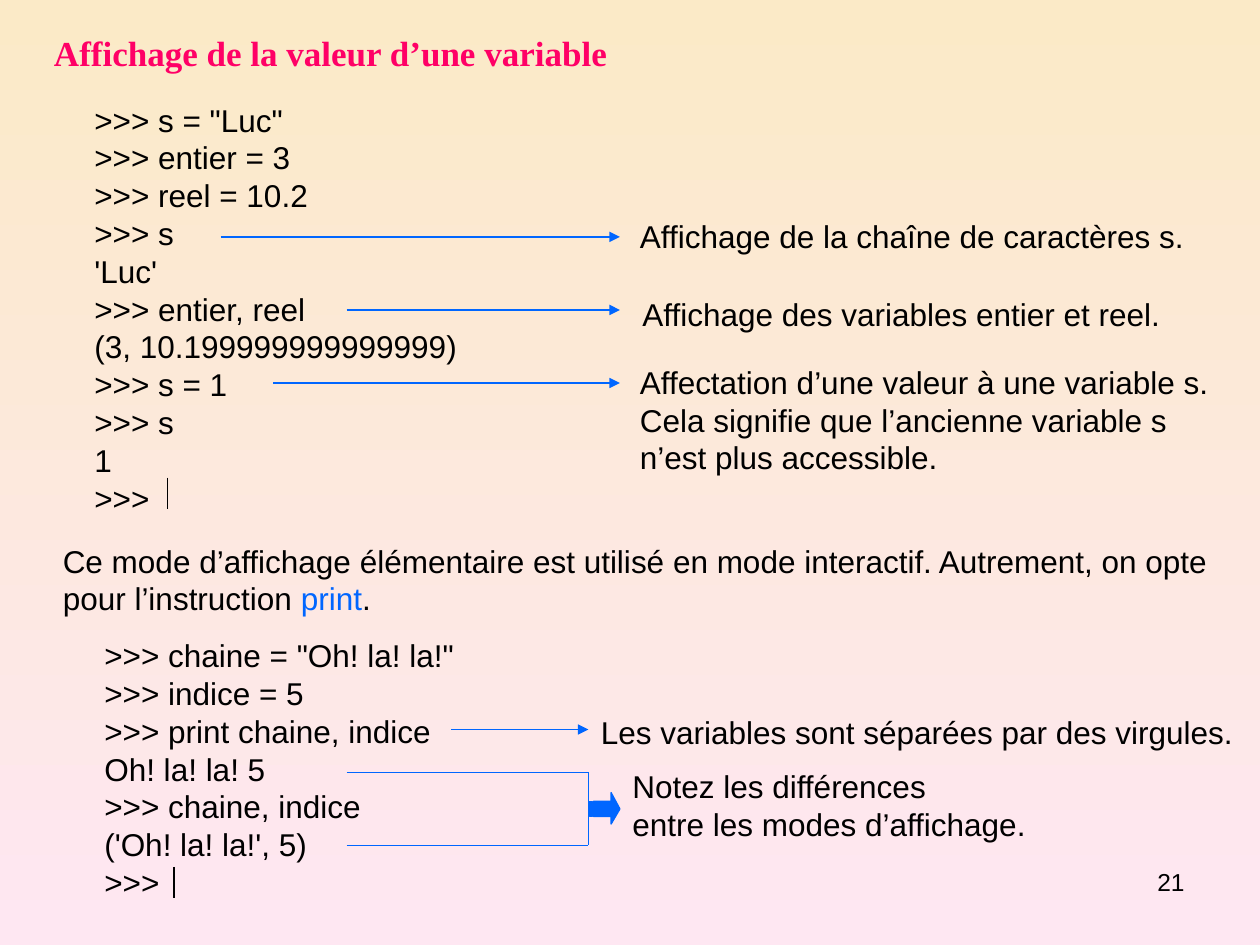
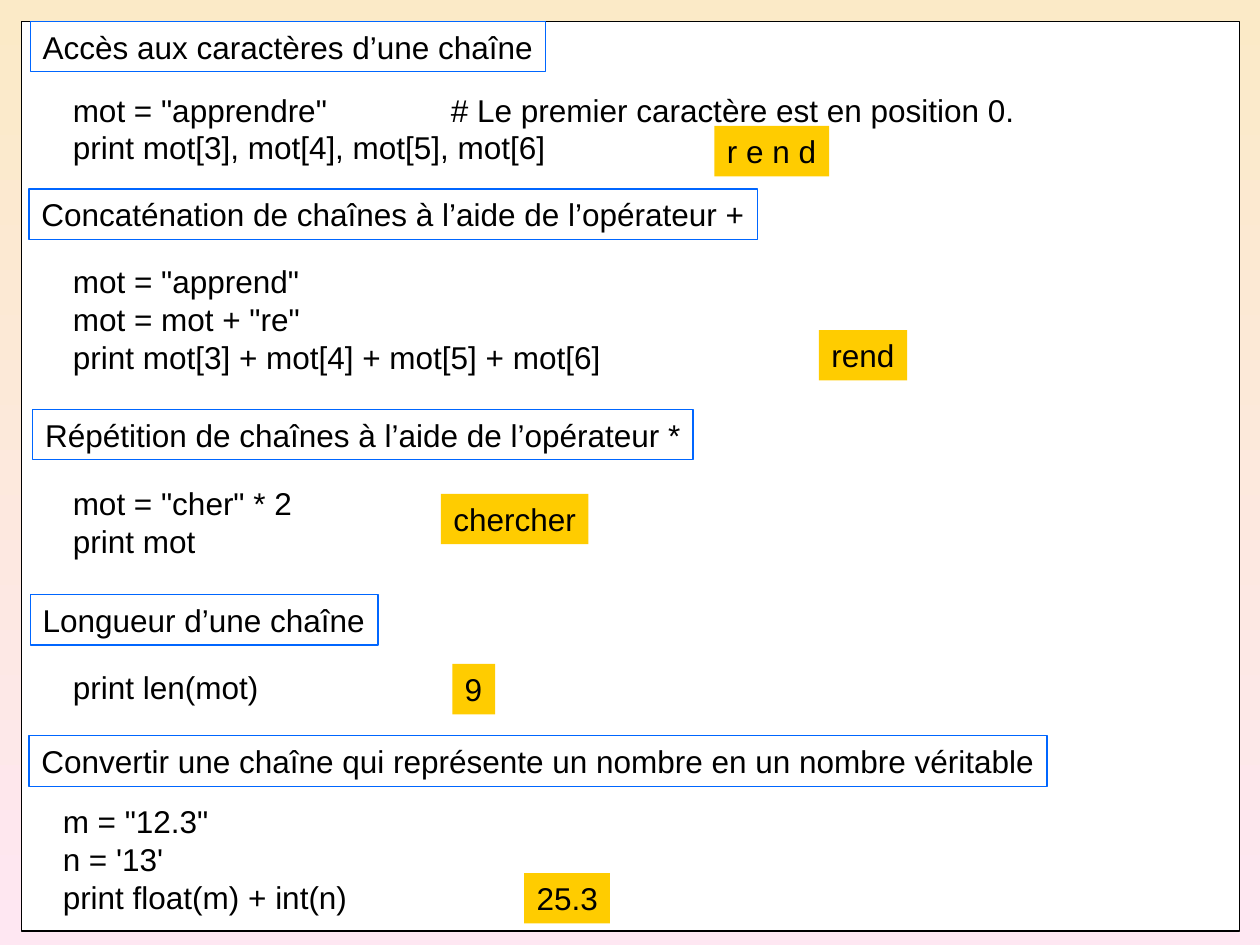
from dataclasses import dataclass

import pptx
import pptx.dml.color
import pptx.enum.shapes
import pptx.enum.text
import pptx.oxml
import pptx.oxml.ns
import pptx.util
from pptx.util import Inches


@dataclass(frozen=True)
class Theme:
    sky: str = "FBEAC7"
    ground: str = "FEE7F2"
    title: str = "FF0066"
    accent: str = "0066FF"
    result: str = "FFCC00"
    ink: str = "000000"
    paper: str = "FFFFFF"
    body_font: str = "Arial"
    title_font: str = "Times New Roman"
    title_size: int = 20
    body_size: int = 18
    number_size: int = 14
    line_width: float = 0.75


THEME = Theme()
LINE_HEIGHT = 0.3
BOX_PADDING = 0.1
RIGHT_MARGIN = 0.02
CARET_HEIGHT = 0.25


def rgb(value):
    return pptx.dml.color.RGBColor.from_string(value)


def set_line(line, color):
    line.color.rgb = rgb(color)
    line.width = pptx.util.Pt(THEME.line_width)


def set_fill(fill, color):
    fill.solid()
    fill.fore_color.rgb = rgb(color)


def add_page(deck):
    page = deck.slides.add_slide(deck.slide_layouts[6])
    fill = page.background.fill
    fill.gradient()
    fill.gradient_angle = 270
    for stop, color in zip(fill.gradient_stops, (THEME.sky, THEME.ground)):
        stop.color.rgb = rgb(color)
    return page


def format_runs(box, size=THEME.body_size, color=THEME.ink,
                font=THEME.body_font, bold=False):
    for para in box.text_frame.paragraphs:
        for span in para.runs:
            span.font.name = font
            span.font.size = pptx.util.Pt(size)
            span.font.bold = bold
            span.font.color.rgb = rgb(color)


def fill_with_text(box, text):
    frame = box.text_frame
    frame.text = text
    frame.word_wrap = True
    frame.margin_right = Inches(RIGHT_MARGIN)
    frame.auto_size = pptx.enum.text.MSO_AUTO_SIZE.SHAPE_TO_FIT_TEXT
    frame.vertical_anchor = pptx.enum.text.MSO_ANCHOR.TOP
    for para in frame.paragraphs:
        para.alignment = pptx.enum.text.PP_ALIGN.LEFT
    format_runs(box)


def add_text(page, left, top, width, text):
    height = BOX_PADDING + LINE_HEIGHT * len(text.split("\n"))
    box = page.shapes.add_textbox(
        Inches(left), Inches(top), Inches(width), Inches(height))
    fill_with_text(box, text)
    return box


def add_title(page, text):
    box = page.shapes.add_textbox(
        Inches(0.33), Inches(0.17), Inches(7.08), Inches(0.5))
    box.text_frame.text = text
    box.text_frame.word_wrap = True
    box.text_frame.vertical_anchor = pptx.enum.text.MSO_ANCHOR.MIDDLE
    format_runs(box, THEME.title_size, THEME.title, THEME.title_font, True)


def add_page_number(page, number):
    box = page.shapes.add_textbox(
        Inches(7.17), Inches(6.83), Inches(2.33), Inches(0.52))
    box.text_frame.text = number
    box.text_frame.word_wrap = True
    box.text_frame.paragraphs[0].alignment = pptx.enum.text.PP_ALIGN.RIGHT
    format_runs(box, THEME.number_size)


def add_rectangle(page, left, top, width, height, fill=None, line=None):
    box = page.shapes.add_shape(
        pptx.enum.shapes.MSO_SHAPE.RECTANGLE,
        Inches(left), Inches(top), Inches(width), Inches(height))
    box.shadow.inherit = False
    if fill:
        set_fill(box.fill, fill)
    else:
        box.fill.background()
    if line:
        set_line(box.line, line)
    else:
        box.line.fill.background()
    return box


def add_label(page, left, top, width, text, fill=None, line=None):
    box = add_rectangle(page, left, top, width, BOX_PADDING + LINE_HEIGHT,
                        fill, line)
    fill_with_text(box, text)


def add_line(page, start, end, color=THEME.accent, arrow=False):
    line = page.shapes.add_connector(
        pptx.enum.shapes.MSO_CONNECTOR.STRAIGHT,
        *(Inches(value) for value in start + end))
    set_line(line.line, color)
    if arrow:
        head = pptx.oxml.parse_xml(
            f'<a:tailEnd {pptx.oxml.ns.nsdecls("a")} type="triangle"/>')
        line.line._get_or_add_ln().append(head)
    line._element.spPr.append(pptx.oxml.parse_xml(
        f'<a:effectLst {pptx.oxml.ns.nsdecls("a")}/>'))


def add_arrow(page, left, right, y):
    add_line(page, (left, y), (right, y), arrow=True)


def add_caret(page, x, top):
    add_line(page, (x, top), (x, top + CARET_HEIGHT), THEME.ink)


def add_striped_arrow(page):
    top, bottom = 6.36, 6.48
    head = [(4.85, 6.29), (4.85, top), (4.71, top), (4.71, bottom),
            (4.85, bottom), (4.85, 6.54), (4.92, 6.42)]
    stripes = [[(left, top), (left, bottom), (right, bottom), (right, top)]
               for left, right in ((4.68, 4.7), (4.67, 4.67))]
    builder = page.shapes.build_freeform(
        Inches(head[0][0]), Inches(head[0][1]))
    for outline in [head] + stripes:
        points = [(Inches(x), Inches(y)) for x, y in outline]
        if outline is not head:
            builder.move_to(*points[0])
        builder.add_line_segments(points[1:], close=True)
    shape = builder.convert_to_shape()
    shape.shadow.inherit = False
    set_fill(shape.fill, THEME.accent)
    set_line(shape.line, THEME.accent)


def add_tab_stop(para, position):
    para._p.get_or_add_pPr().append(pptx.oxml.parse_xml(
        f'<a:tabLst {pptx.oxml.ns.nsdecls("a")}>'
        f'<a:tab pos="{Inches(position)}" algn="l"/></a:tabLst>'))


def build_display_page(deck):
    page = add_page(deck)
    add_page_number(page, "21")
    add_title(page, "Affichage de la valeur d’une variable")

    add_text(page, 0.65, 0.75, 3.08, "\n".join([
        '>>> s = "Luc"', ">>> entier = 3", ">>> reel = 10.2", ">>> s",
        "'Luc'", ">>> entier, reel", "(3, 10.199999999999999)",
        ">>> s = 1", ">>> s", "1", ">>>"]))
    add_caret(page, 1.33, 3.79)
    for left, y in ((1.75, 1.88), (2.75, 2.46), (2.17, 3.04)):
        add_arrow(page, left, 4.92, y)
    add_text(page, 4.98, 1.67, 4.52, "Affichage de la chaîne de caractères s.")
    add_text(page, 5, 2.29, 4.31, "Affichage des variables entier et reel.")
    add_text(page, 4.98, 2.83, 4.71,
             "Affectation d’une valeur à une variable s.\n"
             "Cela signifie que l’ancienne variable s\n"
             "n’est plus accessible.")

    remark = add_text(
        page, 0.4, 4.25, 9.3,
        "Ce mode d’affichage élémentaire est utilisé en mode interactif. "
        "Autrement, on opte\npour l’instruction ")
    para = remark.text_frame.paragraphs[1]
    for text in ("print", "."):
        para.add_run().text = text
    format_runs(remark)
    para.runs[1].font.color.rgb = rgb(THEME.accent)

    add_text(page, 0.73, 5, 2.97, "\n".join([
        '>>> chaine = "Oh! la! la!"', ">>> indice = 5",
        ">>> print chaine, indice", "Oh! la! la! 5",
        ">>> chaine, indice", "('Oh! la! la!', 5)", ">>>"]))
    add_caret(page, 1.38, 6.88)
    add_arrow(page, 3.58, 4.67, 5.79)
    add_text(page, 4.67, 5.61, 5.21,
             "Les variables sont séparées par des virgules.")

    for y in (6.13, 6.71):
        add_line(page, (2.75, y), (4.67, y))
    add_line(page, (4.67, 6.13), (4.67, 6.71))
    add_striped_arrow(page)
    add_text(page, 4.92, 6.04, 3.32,
             "Notez les différences\nentre les modes d’affichage.")


def build_string_page(deck):
    page = add_page(deck)
    add_rectangle(page, 0.17, 0.17, 9.67, 7.22, THEME.paper, THEME.ink)

    headings = [
        (0.24, 0.17, 4.09, "Accès aux caractères d’une chaîne"),
        (0.23, 1.5, 5.78, "Concaténation de chaînes à l’aide de l’opérateur +"),
        (0.26, 3.25, 5.24, "Répétition de chaînes à l’aide de l’opérateur *"),
        (0.24, 4.72, 2.76, "Longueur d’une chaîne"),
        (0.23, 5.84, 8.08, "Convertir une chaîne qui représente un nombre "
                           "en un nombre véritable"),
    ]
    for heading in headings:
        add_label(page, *heading, line=THEME.accent)

    access = add_text(
        page, 0.48, 0.67, 7.67,
        'mot = "apprendre" \t# Le premier caractère est en position 0.\n'
        "print mot[3], mot[4], mot[5], mot[6]")
    add_tab_stop(access.text_frame.paragraphs[0], 3)
    examples = [
        (0.48, 2.03, 4.39, 'mot = "apprend"\nmot = mot + "re"\n'
                           "print mot[3] + mot[4] + mot[5] + mot[6]"),
        (0.48, 3.79, 1.94, 'mot = "cher" * 2\nprint mot'),
        (0.48, 5.25, 1.67, "print len(mot)"),
        (0.4, 6.32, 2.46, "m = \"12.3\"\nn = '13'\nprint float(m) + int(n)"),
    ]
    for example in examples:
        add_text(page, *example)

    results = [
        (5.67, 1, 0.91, "r e n d"),
        (6.5, 2.62, 0.7, "rend"),
        (3.5, 3.92, 1.17, "chercher"),
        (3.59, 5.27, 0.34, "9"),
        (4.16, 6.93, 0.68, "25.3"),
    ]
    for result in results:
        add_label(page, *result, fill=THEME.result)


def main():
    deck = pptx.Presentation()
    deck.slide_width = Inches(10)
    deck.slide_height = Inches(7.5)
    build_display_page(deck)
    build_string_page(deck)
    deck.save("out.pptx")


if __name__ == "__main__":
    main()
